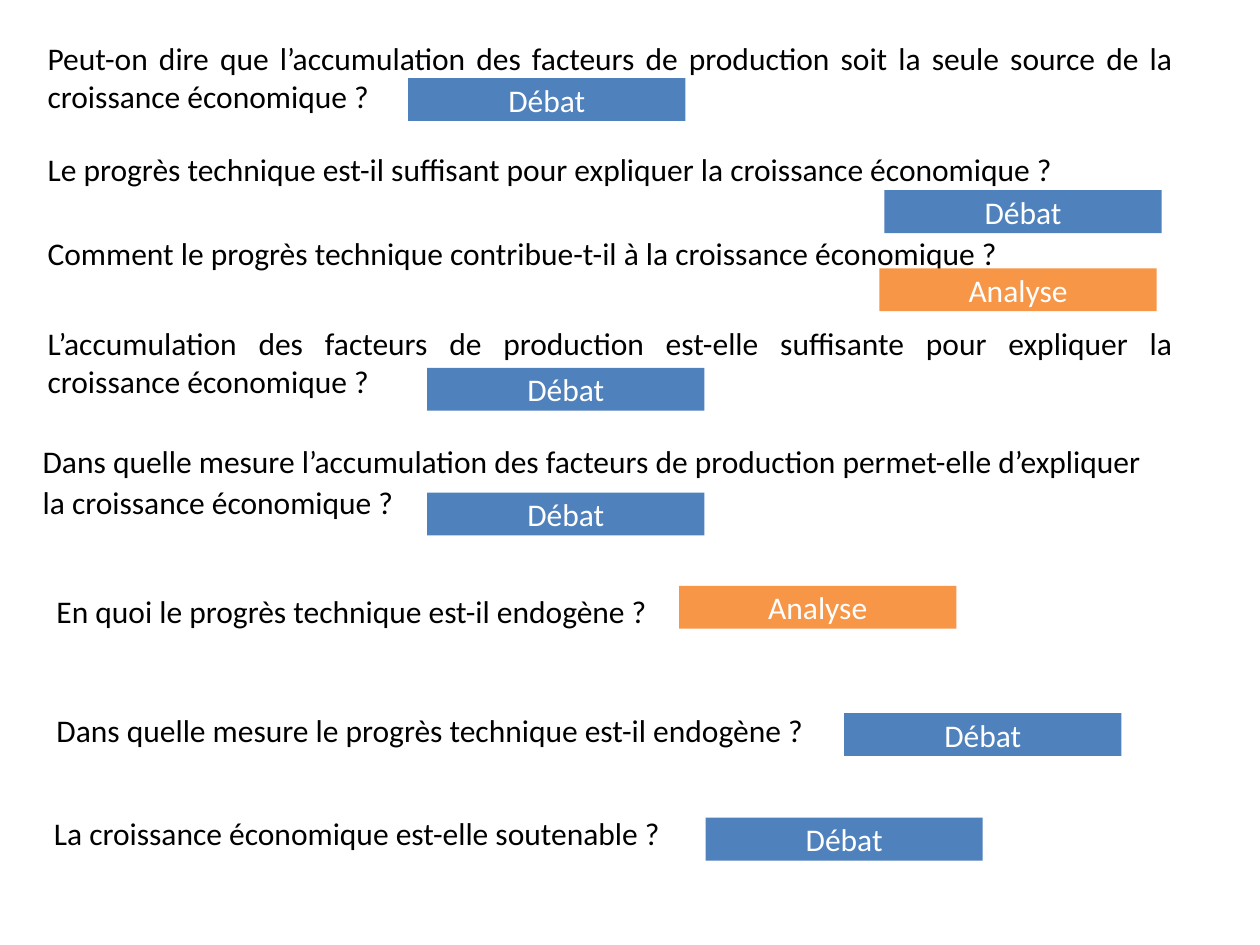
from dataclasses import dataclass

from pptx import Presentation
from pptx.dml.color import RGBColor as RGB
from pptx.enum.shapes import MSO_SHAPE as Shape
from pptx.enum.text import MSO_ANCHOR as Anchor, MSO_AUTO_SIZE as AutoSize, PP_ALIGN as Align
from pptx.util import Inches, Pt


@dataclass(frozen=True)
class Theme:
    font: str = "Calibri"
    size: int = 18
    text: str = "000000"
    label_text: str = "FFFFFF"
    debate: str = "4F81BD"
    analysis: str = "F79646"


THEME = Theme()
QUESTION_WIDTH = 9.13
LABEL_WIDTH, LABEL_HEIGHT = 2.2, 0.34
LABEL_FILLS = {"Débat": THEME.debate, "Analyse": THEME.analysis}

# Question: left, top, height, alignment, text; label: left, top, text
QUESTIONS = [
    (0.28, 0.26, 0.71, Align.JUSTIFY,
     "Peut-on dire que l’accumulation des facteurs de production soit "
     "la seule source de la croissance économique ?", (3.24, 0.62, "Débat")),
    (0.28, 1.14, 0.4, Align.LEFT,
     "Le progrès technique est-il suffisant pour expliquer "
     "la croissance économique ?", (7.02, 1.51, "Débat")),
    (0.28, 1.81, 0.4, Align.LEFT,
     "Comment le progrès technique contribue-t-il "
     "à la croissance économique ?", (6.98, 2.13, "Analyse")),
    (0.28, 2.52, 0.71, Align.JUSTIFY,
     "L’accumulation des facteurs de production est-elle suffisante "
     "pour expliquer la croissance économique ?", (3.39, 2.92, "Débat")),
    (0.24, 3.44, 0.73, Align.LEFT,
     "Dans quelle mesure l’accumulation des facteurs de production "
     "permet-elle d’expliquer la croissance économique ?", (3.39, 3.91, "Débat")),
    (0.35, 4.65, 0.4, Align.JUSTIFY,
     "En quoi le progrès technique est-il endogène ?", (5.39, 4.65, "Analyse")),
    (0.35, 5.59, 0.4, Align.JUSTIFY,
     "Dans quelle mesure le progrès technique est-il endogène ?", (6.7, 5.66, "Débat")),
    (0.33, 6.41, 0.4, Align.JUSTIFY,
     "La croissance économique est-elle soutenable ?", (5.6, 6.49, "Débat")),
]
SPACED_QUESTION = 4


def write(tf, text, color, align):
    tf.word_wrap = True
    tf.text = text
    p = tf.paragraphs[0]
    p.alignment = align
    font = p.runs[0].font
    font.name, font.size = THEME.font, Pt(THEME.size)
    font.color.rgb = RGB.from_string(color)
    return p


def add_question(slide, left, top, height, align, text):
    sp = slide.shapes.add_textbox(
        Inches(left), Inches(top), Inches(QUESTION_WIDTH), Inches(height))
    sp.text_frame.auto_size = AutoSize.SHAPE_TO_FIT_TEXT
    return write(sp.text_frame, text, THEME.text, align)


def add_label(slide, left, top, text):
    sp = slide.shapes.add_shape(
        Shape.RECTANGLE, Inches(left), Inches(top),
        Inches(LABEL_WIDTH), Inches(LABEL_HEIGHT))
    sp.shadow.inherit = False
    sp.fill.solid()
    sp.fill.fore_color.rgb = RGB.from_string(LABEL_FILLS[text])
    sp.line.fill.background()
    sp.text_frame.vertical_anchor = Anchor.MIDDLE
    write(sp.text_frame, text, THEME.label_text, Align.CENTER)


def main():
    prs = Presentation()
    prs.slide_width, prs.slide_height = Inches(10), Inches(7.5)
    slide = prs.slides.add_slide(prs.slide_layouts[6])

    # Questions
    paragraphs = [add_question(slide, *question) for *question, _ in QUESTIONS]
    spaced = paragraphs[SPACED_QUESTION]
    spaced.line_spacing, spaced.space_after = 1.07, Pt(8)

    # Labels in front of the questions
    for *_, label in QUESTIONS:
        add_label(slide, *label)

    prs.save("out.pptx")


main()
